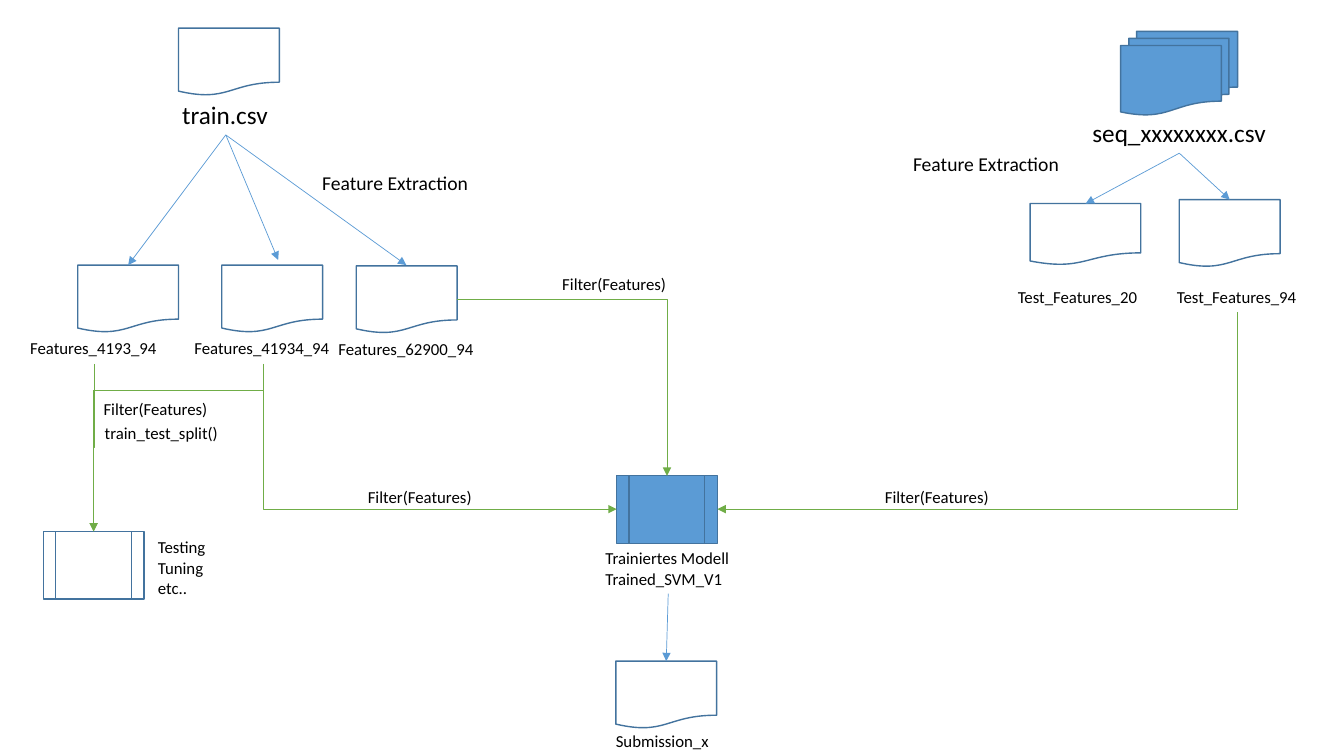
from lxml import etree
from pptx import Presentation
from pptx.dml.color import RGBColor
from pptx.enum.shapes import MSO_CONNECTOR, MSO_SHAPE
from pptx.oxml.ns import qn
from pptx.util import Cm, Pt

BLUE = RGBColor(0x5B, 0x9B, 0xD5)
DARK_BLUE = RGBColor(0x43, 0x73, 0x9E)
GREEN = RGBColor(0x70, 0xAD, 0x47)
BLACK = RGBColor(0, 0, 0)
FONT = "Calibri"

# All positions and sizes are in centimetres.
DOCUMENT = MSO_SHAPE.FLOWCHART_DOCUMENT
FILE_STACK = MSO_SHAPE.FLOWCHART_MULTIDOCUMENT
PROCESS = MSO_SHAPE.FLOWCHART_PREDEFINED_PROCESS
STANDARD = (2.54, 1.7)

# kind, (left, top), (width, height), fill
SYMBOLS = [
    (FILE_STACK, (28.24, 0.79), (2.95, 2.11), BLUE),
    (DOCUMENT, (4.5, 0.71), STANDARD, None),
    (DOCUMENT, (1.96, 6.68), STANDARD, None),
    (DOCUMENT, (5.59, 6.68), STANDARD, None),
    (DOCUMENT, (8.98, 6.7), STANDARD, None),
    (DOCUMENT, (25.96, 5.13), (2.79, 1.55), None),
    (DOCUMENT, (29.72, 5.03), STANDARD, None),
    (DOCUMENT, (15.52, 16.66), STANDARD, None),
    (PROCESS, (15.54, 11.99), STANDARD, BLUE),
    (PROCESS, (1.09, 13.39), STANDARD, None),
]

# text, left, top, width, point size
LABELS = [
    ("seq_xxxxxxxx.csv", 27.28, 2.84, 4.9, 18),
    ("train.csv", 4.34, 2.39, 2.69, 18),
    ("Feature Extraction", 7.87, 4.17, 4.24, 14),
    ("Feature Extraction", 22.76, 3.71, 4.24, 14),
    ("Features_4193_94", 0.51, 8.38, 3.73, 12),
    ("Features_41934_94", 4.65, 8.38, 3.96, 12),
    ("Features_62900_94", 8.28, 8.41, 3.96, 12),
    ("Test_Features_20", 25.4, 7.1, 3.91, 12),
    ("Test_Features_94", 29.41, 7.1, 3.56, 12),
    ("Filter(Features)", 13.92, 6.78, 3.15, 12),
    ("Filter(Features)", 22.05, 12.14, 3.15, 12),
    ("Filter(Features)", 9.02, 12.14, 3.15, 12),
    ("Filter(Features)", 2.36, 9.93, 3.15, 12),
    ("train_test_split()", 2.39, 10.52, 3.4, 12),
    ("Trainiertes Modell\nTrained_SVM_V1", 15.01, 13.69, 3.66, 12),
    ("Testing\nTuning\netc..", 3.73, 13.41, 1.73, 12),
    ("Submission_x", 15.27, 18.29, 2.87, 12),
]
LABEL_HEIGHTS = {18: 1.02, 14: 0.86, 12: 0.76}
EXTRA_LINE = 0.51

# start point: end points
STRAIGHT_ARROWS = {
    (5.69, 3.4): [(10.24, 6.68), (7.01, 6.55), (3.23, 6.68)],
    (29.72, 3.86): [(30.99, 5.03), (27.36, 5.13)],
    (16.84, 14.96): [(16.79, 16.66)],
}

# start, end, leaves downwards, share of the way to the bend (None: one corner)
BENT_ARROWS = [
    ((31.19, 7.87), (18.08, 12.83), True, None),
    ((11.51, 7.54), (16.81, 11.99), False, None),
    ((6.63, 9.17), (15.54, 12.83), True, None),
    ((2.39, 9.17), (2.36, 13.39), True, 0.5),
    ((6.63, 9.17), (2.36, 13.39), True, 0.16),
]


def add_symbol(page, kind, corner, size, fill):
    """Add a flowchart symbol, outlined and optionally filled."""
    box = page.shapes.add_shape(kind, *map(Cm, corner + size))
    box.shadow.inherit = False
    box.line.color.rgb = DARK_BLUE
    box.line.width = Pt(1)
    if fill is None:
        box.fill.background()
    else:
        box.fill.solid()
        box.fill.fore_color.rgb = fill


def add_label(page, text, left, top, width, size):
    """Add an unwrapped label whose height follows its line count."""
    height = LABEL_HEIGHTS[size] + EXTRA_LINE * text.count("\n")
    box = page.shapes.add_textbox(Cm(left), Cm(top), Cm(width), Cm(height))
    box.text_frame.word_wrap = False
    para = box.text_frame.paragraphs[0]
    para.text = text
    para.font.name = FONT
    para.font.size = Pt(size)
    para.font.color.rgb = BLACK


def add_arrow(page, start, end, color):
    """Add a thin straight arrow and return it."""
    arrow = page.shapes.add_connector(
        MSO_CONNECTOR.STRAIGHT, *map(Cm, start + end))
    arrow.line.color.rgb = color
    arrow.line.width = Pt(0.5)
    properties = arrow._element.spPr
    line = properties.find(qn("a:ln"))
    etree.SubElement(line, qn("a:tailEnd"), type="triangle")
    etree.SubElement(properties, qn("a:effectLst"))
    return arrow


def add_bent_arrow(page, start, end, downwards, bend):
    """Add a right-angled arrow; a quarter turn makes it leave downwards."""
    (x1, y1), (x2, y2) = start, end
    width, height = abs(x2 - x1), abs(y2 - y1)
    if downwards:
        width, height = height, width
    left = (x1 + x2 - width) / 2
    top = (y1 + y2 - height) / 2
    arrow = add_arrow(page, (left, top), (left + width, top + height), GREEN)
    properties = arrow._element.spPr
    frame = properties.find(qn("a:xfrm"))
    if downwards:
        frame.set("rot", str(90 * 60000))
        if x2 > x1:
            frame.set("flipV", "1")
    geometry = properties.find(qn("a:prstGeom"))
    geometry.set("prst", "bentConnector2" if bend is None else "bentConnector3")
    if bend is not None:
        etree.SubElement(geometry.find(qn("a:avLst")), qn("a:gd"),
                         name="adj1", fmla=f"val {round(bend * 100000)}")


deck = Presentation()
deck.slide_width, deck.slide_height = Cm(33.87), Cm(19.05)
page = deck.slides.add_slide(deck.slide_layouts[6])
for symbol in SYMBOLS:
    add_symbol(page, *symbol)
for label in LABELS:
    add_label(page, *label)
for start, ends in STRAIGHT_ARROWS.items():
    for end in ends:
        add_arrow(page, start, end, BLUE)
for bent_arrow in BENT_ARROWS:
    add_bent_arrow(page, *bent_arrow)
deck.save("out.pptx")
